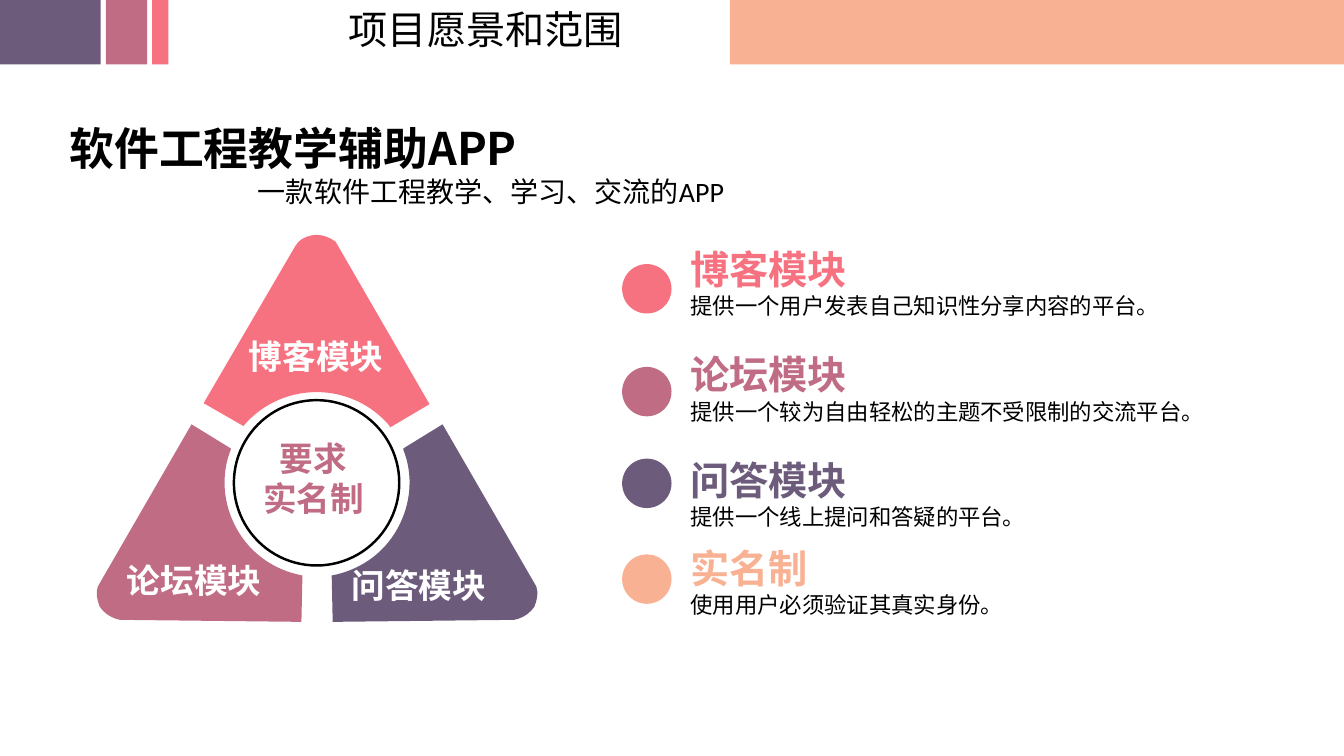
from lxml import etree
from pptx import Presentation
from pptx.dml.color import RGBColor
from pptx.enum import shapes, text
from pptx.oxml.ns import qn
from pptx.util import Inches, Pt

PINK, ROSE, PLUM, PEACH = "F67280", "C06C84", "6C5B7B", "F8B193"
BLACK, WHITE = "000000", "FFFFFF"
SANS, LATIN = "Noto Sans CJK SC", "Calibri"

TITLE = "项目愿景和范围"
NAME = "软件工程教学辅助APP"
TAGLINE = "一款软件工程教学、学习、交流的APP"

# Header bars: left, width, colour
BARS = [(7.24, 6.09, PEACH), (0, 1, PLUM), (1.05, 0.41, ROSE), (1.51, 0.16, PINK)]

# Modules: heading, detail, colour, dot top, text top
ROWS = [
    ("博客模块", "提供一个用户发表自己知识性分享内容的平台。", PINK, 2.62, 2.38),
    ("论坛模块", "提供一个较为自由轻松的主题不受限制的交流平台。", ROSE, 3.64, 3.43),
    ("问答模块", "提供一个线上提问和答疑的平台。", PLUM, 4.55, 4.48),
    ("实名制", "使用用户必须验证其真实身份。", PEACH, 5.5, 5.35),
]

# Triangle labels: text, left, top
LABELS = [("博客模块", 2.37, 3.28), ("论坛模块", 1.16, 5.51), ("问答模块", 3.39, 5.56)]

# Triangle parts: two numbers make a line, six make a curve
TOP = [(3.14, 2.33), (3.21, 2.33, 3.28, 2.36, 3.33, 2.4), (4.26, 4.01),
       (3.87, 4.24), (3.86, 4.22), (3.69, 4.02, 3.43, 3.89, 3.14, 3.89),
       (2.85, 3.89, 2.59, 4.02, 2.42, 4.22), (2.42, 4.23), (2.02, 4),
       (2.93, 2.44), (2.96, 2.4), (3, 2.36, 3.07, 2.33, 3.14, 2.33)]
LEFT = [(0.99, 6.02), (0.96, 5.95, 0.95, 5.88, 0.97, 5.82), (1.9, 4.21),
        (2.29, 4.45), (2.29, 4.46), (2.19, 4.71, 2.21, 5, 2.35, 5.25),
        (2.49, 5.5, 2.73, 5.66, 3, 5.71), (2.99, 6.17), (1.19, 6.15),
        (1.15, 6.14), (1.09, 6.12, 1.03, 6.08, 0.99, 6.02)]
AXIS = 3.145
RIGHT = [tuple(round(2 * AXIS - v, 2) if i % 2 == 0 else v
               for i, v in enumerate(seg)) for seg in LEFT]

deck = Presentation()
deck.slide_width, deck.slide_height = Inches(13.33), Inches(7.5)
slide = deck.slides.add_slide(deck.slide_layouts[5])


def rgb(code):
    return RGBColor.from_string(code)


def paint(shape, color):
    shape.shadow.inherit = False
    shape.fill.solid()
    shape.fill.fore_color.rgb = rgb(color)
    shape.line.fill.background()


def add(kind, x, y, w, h, color):
    shape = slide.shapes.add_shape(kind, Inches(x), Inches(y), Inches(w), Inches(h))
    paint(shape, color)
    return shape


def fill_text(shape, lines, wrap=True, align=text.PP_ALIGN.LEFT):
    """Each line is (words, size, font, colour, bold)."""
    frame = shape.text_frame
    frame.word_wrap = wrap
    frame.auto_size = text.MSO_AUTO_SIZE.SHAPE_TO_FIT_TEXT
    frame.vertical_anchor = text.MSO_ANCHOR.TOP
    for i, (words, size, face, color, bold) in enumerate(lines):
        para = frame.add_paragraph() if i else frame.paragraphs[0]
        para.alignment = align
        para.space_before = Pt(0)
        run = para.add_run()
        run.text = words
        font = run.font
        font.size, font.name, font.bold = Pt(size), face, bold
        font.color.rgb = rgb(color)
        east = etree.SubElement(run._r.get_or_add_rPr(), qn("a:ea"))
        east.set("typeface", SANS)
    return frame


def write(x, y, w, h, lines, **style):
    box = slide.shapes.add_textbox(Inches(x), Inches(y), Inches(w), Inches(h))
    return fill_text(box, lines, **style)


def draw(parts, color):
    """Draw the corner points, then bend the curved sides."""
    emu = [[Inches(v) for v in seg] for seg in parts]
    form = slide.shapes.build_freeform(*emu[0], scale=1)
    form.add_line_segments([seg[-2:] for seg in emu[1:]], close=True)
    shape = form.convert_to_shape()
    paint(shape, color)
    sides = list(shape._element.iter(qn("a:lnTo")))
    for side, seg in zip(sides, emu[1:]):
        if len(seg) == 6:
            curve = etree.Element(qn("a:cubicBezTo"))
            for x, y in zip(seg[::2], seg[1::2]):
                point = etree.SubElement(curve, qn("a:pt"))
                point.set("x", str(x - shape.left))
                point.set("y", str(y - shape.top))
            side.getparent().replace(side, curve)


# Header
for x, w, color in BARS:
    add(shapes.MSO_SHAPE.RECTANGLE, x, 0, w, 0.64, color)
title = slide.shapes.title
title.left, title.top = Inches(3.36), Inches(0)
title.width, title.height = Inches(2.95), Inches(0.57)
fill_text(title, [(TITLE, 28, SANS, BLACK, False)], wrap=False)

# Product name and tagline
intro = write(0.59, 1.15, 7.13, 0.98, [(NAME, 32, SANS, BLACK, True),
                                       (TAGLINE, 20, LATIN, BLACK, False)])
intro.paragraphs[1]._p.get_or_add_pPr().set("marL", str(Inches(1.87)))

# Triangle
for parts, color in ((LEFT, ROSE), (RIGHT, PLUM), (TOP, PINK)):
    draw(parts, color)
ring = add(shapes.MSO_SHAPE.OVAL, 2.32, 3.97, 1.64, 1.64, WHITE)
ring.fill.background()
ring.line.color.rgb = rgb(BLACK)
ring.line.width = Pt(1.75)
for words, x, y in LABELS:
    write(x, y, 1.56, 0.5, [(words, 24, SANS, WHITE, True)], wrap=False)
write(2.3, 4.29, 1.62, 0.91,
      [(words, 24, SANS, ROSE, True) for words in ("要求", "实名制")],
      align=text.PP_ALIGN.CENTER)

# Module list
for head, detail, color, dot, top in ROWS:
    add(shapes.MSO_SHAPE.OVAL, 6.17, dot, 0.49, 0.49, color)
    write(6.75, top, 6.05, 0.84, [(head, 28, LATIN, color, True),
                                  (detail, 16, SANS, BLACK, False)])

deck.save("out.pptx")
